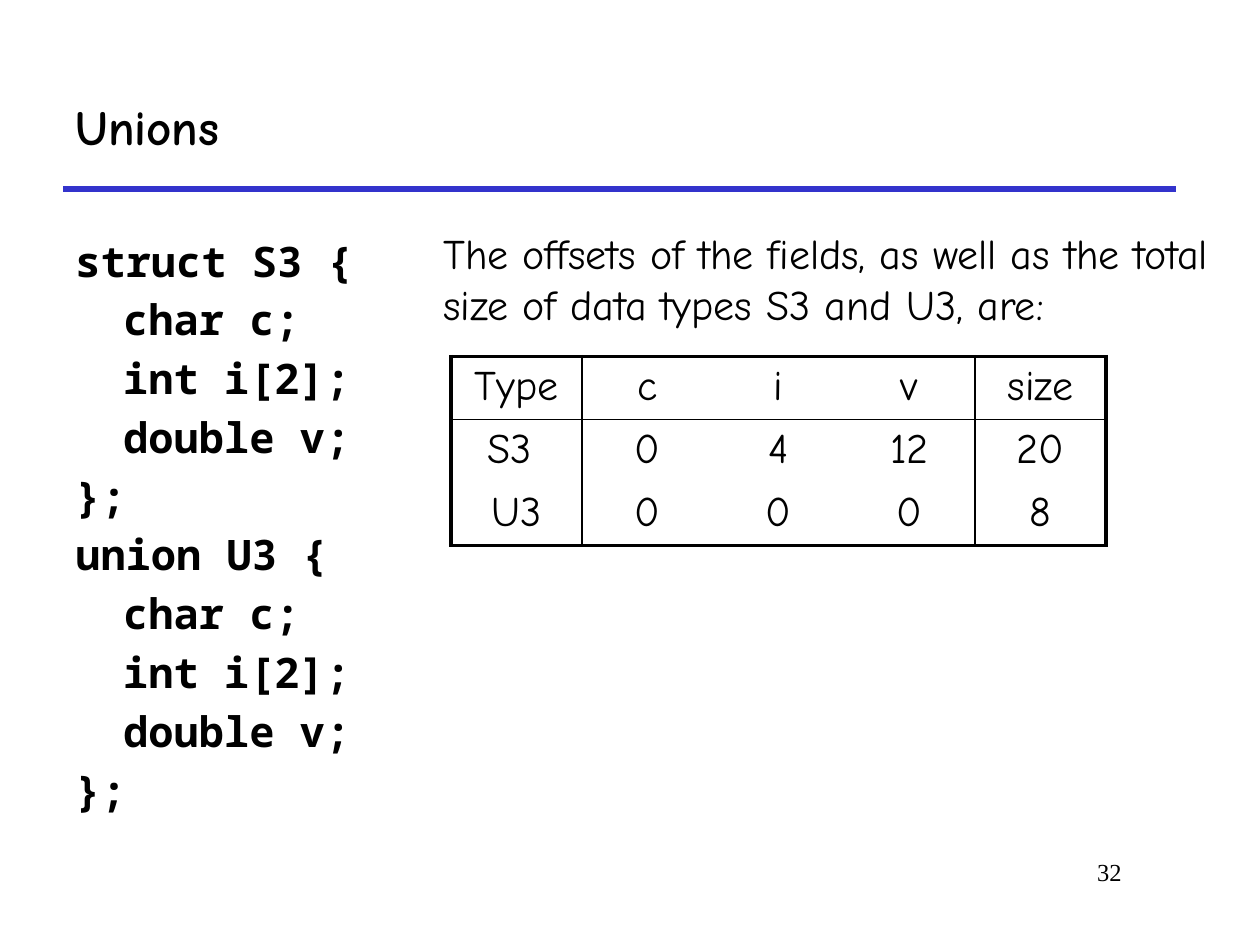
from lxml import etree
from pptx import Presentation
from pptx import util as u
from pptx.dml.color import RGBColor
from pptx.enum import shapes, text
from pptx.oxml.ns import qn

BLACK = RGBColor(0x00, 0x00, 0x00)
BLUE = RGBColor(0x33, 0x33, 0xCC)

TITLE = {"name": "Comic Neue", "size": u.Pt(28), "bold": True}
CODE = {"name": "Noto Sans Mono", "size": u.Pt(24), "bold": True}
PROSE = {"name": "Comic Neue", "size": u.Pt(24), "bold": False}
NUMBER = {"name": "Times New Roman", "size": u.Pt(14), "bold": False}


def write(frame, lines, font_format, **paragraph_format):
    """Fill a text frame with one paragraph per line."""
    for index, line in enumerate(lines):
        paragraph = frame.add_paragraph() if index else frame.paragraphs[0]
        run = paragraph.add_run()
        run.text = line
        run.font.color.rgb = BLACK
        for name, value in font_format.items():
            setattr(run.font, name, value)
        for name, value in paragraph_format.items():
            setattr(paragraph, name, value)


def add_text(box, lines, font_format, anchor=text.MSO_ANCHOR.TOP, **paragraph_format):
    """Add a wrapping text box and return its frame."""
    shape = slide.shapes.add_textbox(*(u.Inches(value) for value in box))
    frame = shape.text_frame
    frame.word_wrap = True
    frame.vertical_anchor = anchor
    write(frame, lines, font_format, **paragraph_format)
    return frame


presentation = Presentation()
presentation.slide_width = u.Inches(10)
presentation.slide_height = u.Inches(7.5)
slide = presentation.slides.add_slide(presentation.slide_layouts[6])

# Title with the rule below it
rule = slide.shapes.add_connector(
    shapes.MSO_CONNECTOR.STRAIGHT,
    u.Inches(0.5), u.Inches(1.5), u.Inches(9.33), u.Inches(1.5))
rule.line.color.rgb = BLUE
rule.line.width = u.Pt(3)
etree.SubElement(rule._element.spPr, qn("a:effectLst"))
add_text((0.5, 0.5, 8.83, 1), ["Unions"], TITLE, text.MSO_ANCHOR.MIDDLE)

# Slide number
add_text((7.58, 6.75, 1.42, 0.5), ["32"], NUMBER, alignment=text.PP_ALIGN.RIGHT)

# Code: the struct and the union have the same fields
fields = ["\tchar c;", "\tint i[2];", "\tdouble v;", "};"]
code = ["struct S3 {", *fields, "union U3 {", *fields]
code_frame = add_text((0.5, 1.75, 2.9, 4.83), code, CODE, line_spacing=u.Pt(33.6))
for paragraph in code_frame.paragraphs:
    properties = paragraph._p.get_or_add_pPr()
    properties.set("marL", str(u.Inches(0.38)))
    properties.set("indent", str(-u.Inches(0.38)))

# Table of offsets and sizes
rows = [
    ["Type", "c", "i", "v", "size"],
    ["S3 ", "0", "4", "12", "20"],
    ["U3", "0", "0", "0", "8"],
]
last_row, last_column = len(rows) - 1, len(rows[0]) - 1
table = slide.shapes.add_table(
    len(rows), len(rows[0]),
    u.Inches(3.58), u.Inches(2.83), u.Inches(5.21), u.Inches(1.26)).table
table.first_row = table.horz_banding = False
for column in table.columns:
    column.width = u.Inches(1.04)

for row_index, row in enumerate(rows):
    for column_index, value in enumerate(row):
        cell = table.cell(row_index, column_index)
        write(cell.text_frame, [value], PROSE, alignment=text.PP_ALIGN.CENTER)

        # Thick frame, thin lines round the header and the middle columns
        borders = {
            "lnL": {0: 2.25, 1: 1, last_column: 1}.get(column_index, 0),
            "lnR": {0: 1, last_column - 1: 1, last_column: 2.25}.get(column_index, 0),
            "lnT": {0: 2.25, 1: 1}.get(row_index, 0),
            "lnB": {0: 1, last_row: 2.25}.get(row_index, 0),
        }
        properties = cell._tc.get_or_add_tcPr()
        for tag, width in borders.items():
            border = etree.SubElement(properties, qn("a:" + tag), w=str(u.Pt(width)))
            if width:
                fill = etree.SubElement(border, qn("a:solidFill"))
                etree.SubElement(fill, qn("a:srgbClr"), val=str(BLACK))
            else:
                etree.SubElement(border, qn("a:noFill"))
        cell.fill.background()

# Sentence above the table
add_text(
    (3.42, 1.75, 6.58, 0.91),
    ["The offsets of the fields, as well as the total size of data types S3 and U3, are:"],
    PROSE, line_spacing=u.Pt(29.1))

presentation.save("out.pptx")
